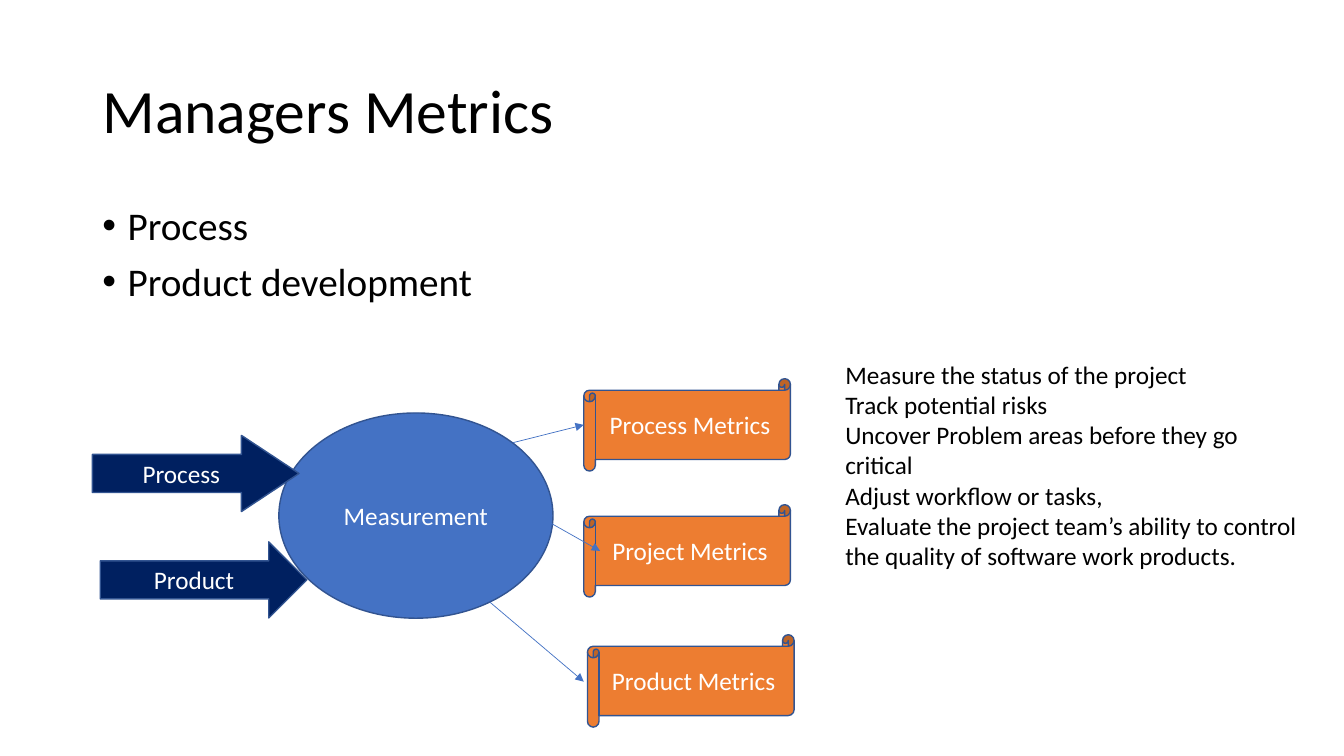
from dataclasses import dataclass

from lxml import etree
from pptx import Presentation
from pptx.dml.color import RGBColor
from pptx.enum.shapes import MSO_CONNECTOR, MSO_SHAPE
from pptx.enum.text import MSO_ANCHOR, MSO_AUTO_SIZE, PP_ALIGN
from pptx.oxml.ns import qn
from pptx.util import Pt

STRAIGHT = MSO_CONNECTOR.STRAIGHT
OVAL, ARROW, SCROLL = MSO_SHAPE.OVAL, MSO_SHAPE.RIGHT_ARROW, MSO_SHAPE.HORIZONTAL_SCROLL
MIDDLE, TOP = MSO_ANCHOR.MIDDLE, MSO_ANCHOR.TOP
LEFT, CENTER = PP_ALIGN.LEFT, PP_ALIGN.CENTER


@dataclass(frozen=True)
class Theme:
    """Colours, font and type sizes of the slide."""
    font: str = "Calibri"
    ink: RGBColor = RGBColor(0, 0, 0)
    light: RGBColor = RGBColor(0xFF, 0xFF, 0xFF)
    blue: RGBColor = RGBColor(0x44, 0x72, 0xC4)
    navy: RGBColor = RGBColor(0x00, 0x20, 0x60)
    orange: RGBColor = RGBColor(0xED, 0x7D, 0x31)
    outline: RGBColor = RGBColor(0x32, 0x54, 0x91)
    title: int = 44
    bullet: int = 28
    label: int = 18


THEME = Theme()

# Content; boxes are left, top, width, height in points
TITLE = "Managers Metrics"
TITLE_BOX = (66, 28.75, 828, 104.4)
TOPICS = ["Process", "Product development"]
TOPICS_BOX = (66, 143.75, 338.4, 342.6)
HUB = "Measurement"
HUB_BOX = (199.2, 295, 195.8, 146.6)
INPUT_SIZE = (147.6, 54.4)
INPUTS = [("Process", 66, 311, 0.756), ("Product", 71.6, 387, 0.5)]
METRIC_SIZE = (147.6, 66)
METRICS = [("Process Metrics", 417, 270.5),
           ("Project Metrics", 417, 360.5),
           ("Product Metrics", 419.6, 453.4)]
FLOWS = [(366.5, 316.2, 417, 303.5),
         (391.9, 372.8, 428.6, 393.5),
         (349.9, 430.1, 417, 486.9)]
USES = ["Measure the status of the project",
        "Track potential risks",
        "Uncover Problem areas before they go critical",
        "Adjust workflow or tasks,",
        "Evaluate the project team’s ability to control "
        "the quality of software work products."]
USES_BOX = (596.7, 252.8, 337, 203.6)


def points(values):
    """Turn plain numbers into point lengths."""
    return [Pt(value) for value in values]


def write(frame, lines, size, color, align=LEFT, anchor=TOP):
    """Fill a text frame with one paragraph per line."""
    frame.text = "\n".join(lines)
    frame.word_wrap = True
    frame.auto_size = MSO_AUTO_SIZE.NONE
    frame.vertical_anchor = anchor
    for paragraph in frame.paragraphs:
        paragraph.alignment = align
        paragraph.font.name = THEME.font
        paragraph.font.size = Pt(size)
        paragraph.font.color.rgb = color


def fill_placeholder(holder, box, lines, size, anchor):
    """Move a placeholder and write its text with tight line spacing."""
    holder.left, holder.top, holder.width, holder.height = points(box)
    write(holder.text_frame, lines, size, THEME.ink, anchor=anchor)
    for paragraph in holder.text_frame.paragraphs:
        paragraph.line_spacing = 0.9


def add_node(shapes, kind, box, label, fill):
    """Add an outlined preset shape with a centred label."""
    node = shapes.add_shape(kind, *points(box))
    node.shadow.inherit = False
    node.fill.solid()
    node.fill.fore_color.rgb = fill
    node.line.color.rgb = THEME.outline
    node.line.width = Pt(1)
    write(node.text_frame, [label], THEME.label, THEME.light, CENTER, MIDDLE)
    return node


def add_flow(shapes, ends):
    """Add a thin arrow that points at the second end."""
    flow = shapes.add_connector(STRAIGHT, *points(ends))
    flow.line.color.rgb = THEME.blue
    flow.line.width = Pt(0.5)
    etree.SubElement(flow.line._get_or_add_ln(), qn("a:tailEnd"), type="triangle")
    etree.SubElement(flow._element.spPr, qn("a:effectLst"))


def main():
    """Build and save the slide."""
    deck = Presentation()
    deck.slide_width, deck.slide_height = Pt(960), Pt(540)
    slide = deck.slides.add_slide(deck.slide_layouts[1])
    shapes = slide.shapes

    fill_placeholder(shapes.title, TITLE_BOX, [TITLE], THEME.title, MIDDLE)
    topics = slide.placeholders[1]
    fill_placeholder(topics, TOPICS_BOX, TOPICS, THEME.bullet, TOP)
    for paragraph in topics.text_frame.paragraphs:
        paragraph.space_before = Pt(10)
        properties = paragraph._p.get_or_add_pPr()
        properties.set("marL", str(Pt(18)))
        properties.set("indent", str(-Pt(18)))
        etree.SubElement(properties, qn("a:buFont"), typeface="Arial")
        etree.SubElement(properties, qn("a:buChar"), char="•")
        # The schema wants the default run properties after the bullet
        properties.append(properties.find(qn("a:defRPr")))

    add_node(shapes, OVAL, HUB_BOX, HUB, THEME.blue)
    for label, left, top, head in INPUTS:
        arrow = add_node(shapes, ARROW, (left, top, *INPUT_SIZE), label, THEME.navy)
        arrow.adjustments[1] = head
    for label, left, top in METRICS:
        add_node(shapes, SCROLL, (left, top, *METRIC_SIZE), label, THEME.orange)
    for ends in FLOWS:
        add_flow(shapes, ends)

    uses = shapes.add_textbox(*points(USES_BOX))
    write(uses.text_frame, USES, THEME.label, THEME.ink)
    deck.save("out.pptx")


main()
